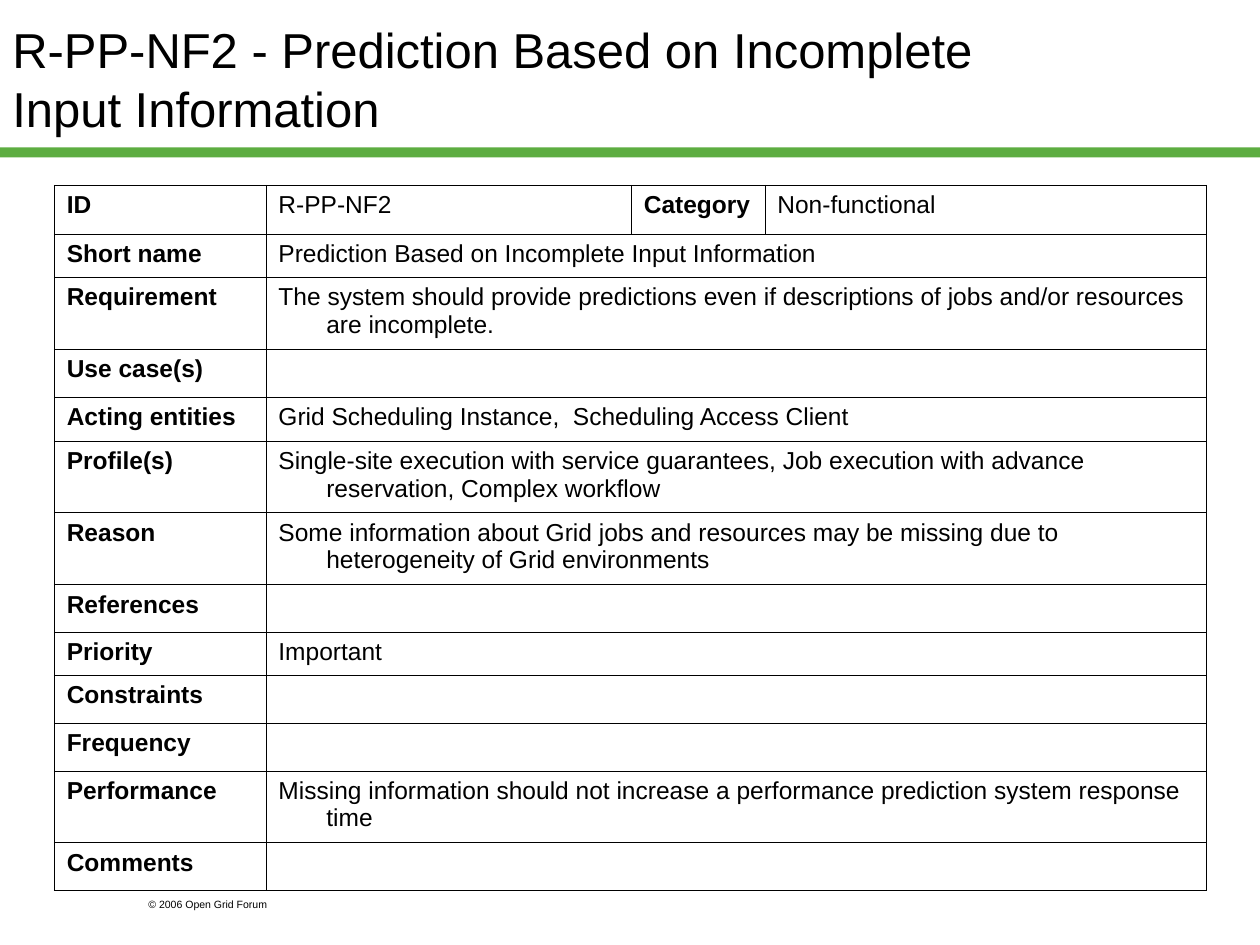
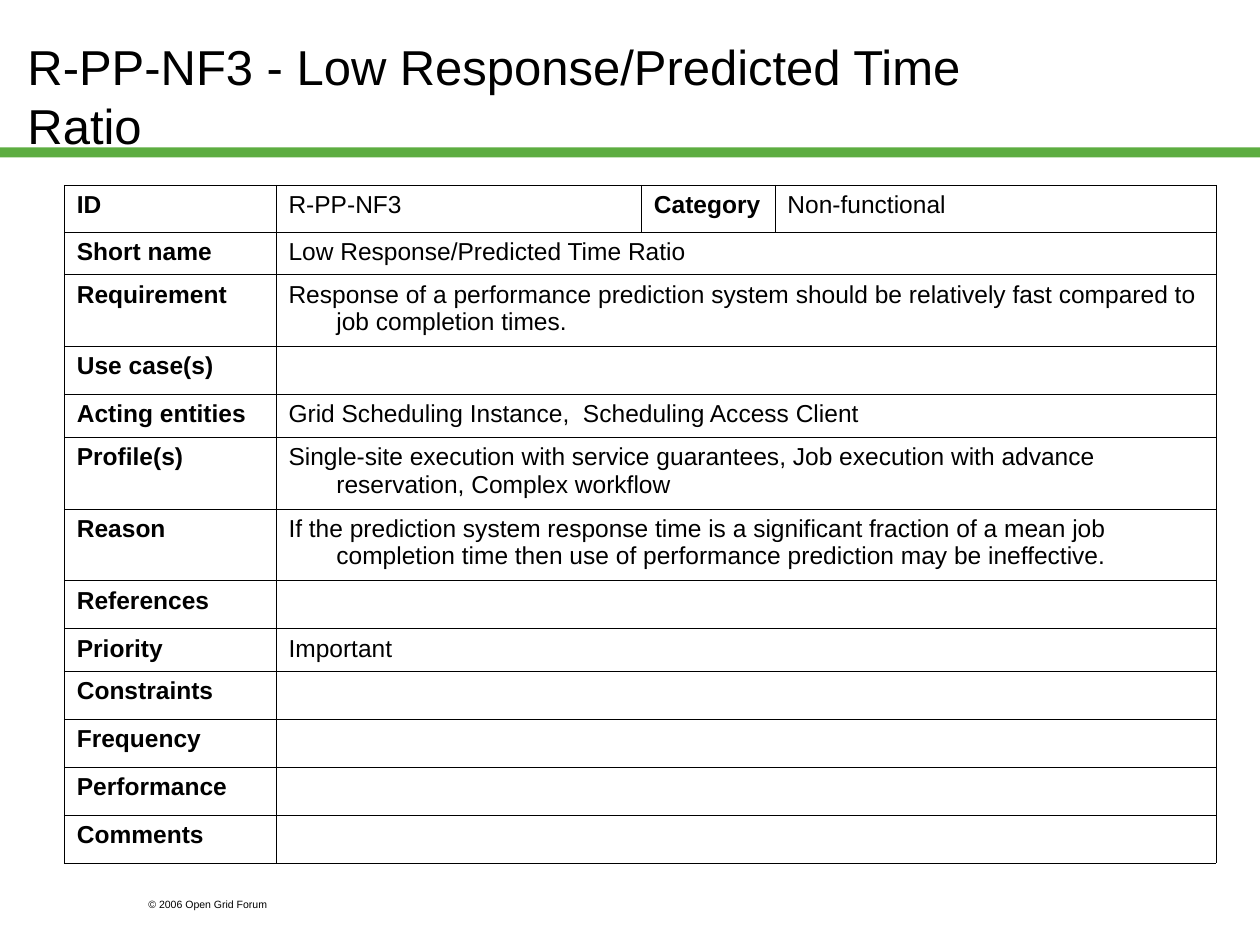
"""Build two requirement sheets, each a ruled form under a green title band."""
from lxml.etree import SubElement
from pptx import Presentation
from pptx.dml.color import RGBColor
from pptx.enum.shapes import MSO_SHAPE
from pptx.enum.text import MSO_ANCHOR
from pptx.oxml.ns import qn
from pptx.util import Inches, Pt

COLOURS = {"band": "5DAD41", "ink": "000000"}
FONT = "Arial"
FORM_SIZE = 14
WIDTH, HEIGHT = Inches(10), Inches(7.5)
COLUMN, ROW = WIDTH // 100, HEIGHT // 75
FORM_COLUMNS = [16.8, 29, 10.6, 35]
EMPTY_ROWS, LINE_ROWS, WRAPPED_ROWS = 3.8, 3.4, 5.7
HANGING = Inches(0.38)
FOOTER = "© 2006 Open Grid Forum"
ENTITIES = "Grid Scheduling Instance,  Scheduling Access Client"
PROFILES = ("Single-site execution with service guarantees, "
            "Job execution with advance reservation, Complex workflow")
LABELS = ["ID", "Short name", "Requirement", "Use case(s)", "Acting entities",
          "Profile(s)", "Reason", "References", "Priority", "Constraints",
          "Frequency", "Performance", "Comments"]

REQUIREMENTS = [
    {
        "id": "R-PP-NF2",
        "name": "Prediction Based on Incomplete Input Information",
        "title_at": (0, 0),
        "form_left": 4.3,
        "row_heights": {"ID": 3.9, "Acting entities": 3.5},
        "answers": {
            "Requirement": "The system should provide predictions even if "
                           "descriptions of jobs and/or resources are incomplete.",
            "Reason": "Some information about Grid jobs and resources may be "
                      "missing due to heterogeneity of Grid environments",
            "Performance": "Missing information should not increase a performance "
                           "prediction system response time",
        },
    },
    {
        "id": "R-PP-NF3",
        "name": "Low Response/Predicted Time Ratio",
        "title_at": (1.2, 1.3),
        "form_left": 5.1,
        "row_heights": {"ID": 3.7},
        "answers": {
            "Requirement": "Response of a performance prediction system should be "
                           "relatively fast compared to job completion times.",
            "Reason": "If the prediction system response time is a significant "
                      "fraction of a mean job completion time then use of "
                      "performance prediction may be ineffective.",
        },
    },
]


def write(frame, text, size, bold=False):
    """Add one run to the first paragraph of a text frame."""
    frame.word_wrap = True
    para = frame.paragraphs[0]
    span = para.add_run()
    span.text = text
    span.font.name = FONT
    span.font.size = Pt(size)
    span.font.bold = bold
    span.font.color.rgb = RGBColor.from_string(COLOURS["ink"])
    return para


def rule(cell, sides):
    """Draw thin lines on the given sides of a cell and clear its fill."""
    properties = cell._tc.get_or_add_tcPr()
    for side in sides:
        line = SubElement(properties, qn(f"a:ln{side}"), w=str(Pt(0.34)))
        fill = SubElement(line, qn("a:solidFill"))
        SubElement(fill, qn("a:srgbClr"), val=COLOURS["ink"])
    cell.fill.background()


deck = Presentation()
deck.slide_width, deck.slide_height = WIDTH, HEIGHT

for requirement in REQUIREMENTS:
    page = deck.slides.add_slide(deck.slide_layouts[6])

    band = page.shapes.add_shape(
        MSO_SHAPE.RECTANGLE, 0, int(11.7 * ROW), WIDTH, int(0.8 * ROW))
    band.shadow.inherit = False
    band.fill.solid()
    band.fill.fore_color.rgb = RGBColor.from_string(COLOURS["band"])
    band.line.fill.background()

    footer = page.shapes.add_textbox(
        int(10.8 * COLUMN), int(70.8 * ROW), 15 * COLUMN, 2 * ROW)
    write(footer.text_frame, FOOTER, 6)

    left, top = requirement["title_at"]
    title = page.shapes.add_textbox(
        int(left * COLUMN), int(top * ROW), 85 * COLUMN, int(12.5 * ROW))
    title.text_frame.vertical_anchor = MSO_ANCHOR.MIDDLE
    write(title.text_frame, f"{requirement['id']} - {requirement['name']}", 28)

    answers = {
        "ID": requirement["id"],
        "Short name": requirement["name"],
        "Acting entities": ENTITIES,
        "Profile(s)": PROFILES,
        "Priority": "Important",
        **requirement["answers"],
    }
    heights = []
    for label in LABELS:
        length = len(answers.get(label, ""))
        usual = WRAPPED_ROWS if length > 70 else LINE_ROWS if length else EMPTY_ROWS
        heights.append(requirement["row_heights"].get(label, usual))

    form = page.shapes.add_table(
        len(LABELS), len(FORM_COLUMNS), int(requirement["form_left"] * COLUMN),
        int(14.7 * ROW), int(sum(FORM_COLUMNS) * COLUMN),
        int(sum(heights) * ROW)).table
    form.first_row = form.horz_banding = False
    for column, share in zip(form.columns, FORM_COLUMNS):
        column.width = int(share * COLUMN)

    for index, label in enumerate(LABELS):
        form.rows[index].height = int(heights[index] * ROW)
        texts = [label, answers.get(label, ""), "", ""]
        if label == "ID":
            texts[2:] = ["Category", "Non-functional"]
        else:
            form.cell(index, 1).merge(form.cell(index, 3))
        for position, text in enumerate(texts):
            cell = form.cell(index, position)
            if text:
                para = write(cell.text_frame, text, FORM_SIZE, bold=position % 2 == 0)
                indents = para._p.get_or_add_pPr()
                indents.set("marL", str(HANGING))
                indents.set("indent", str(-HANGING))
            else:
                ending = SubElement(cell.text_frame.paragraphs[0]._p,
                                    qn("a:endParaRPr"), sz=str(FORM_SIZE * 100))
                SubElement(ending, qn("a:latin"), typeface=FONT)
            rule(cell, "TB" if cell.is_spanned else "LRTB")

deck.save("out.pptx")
